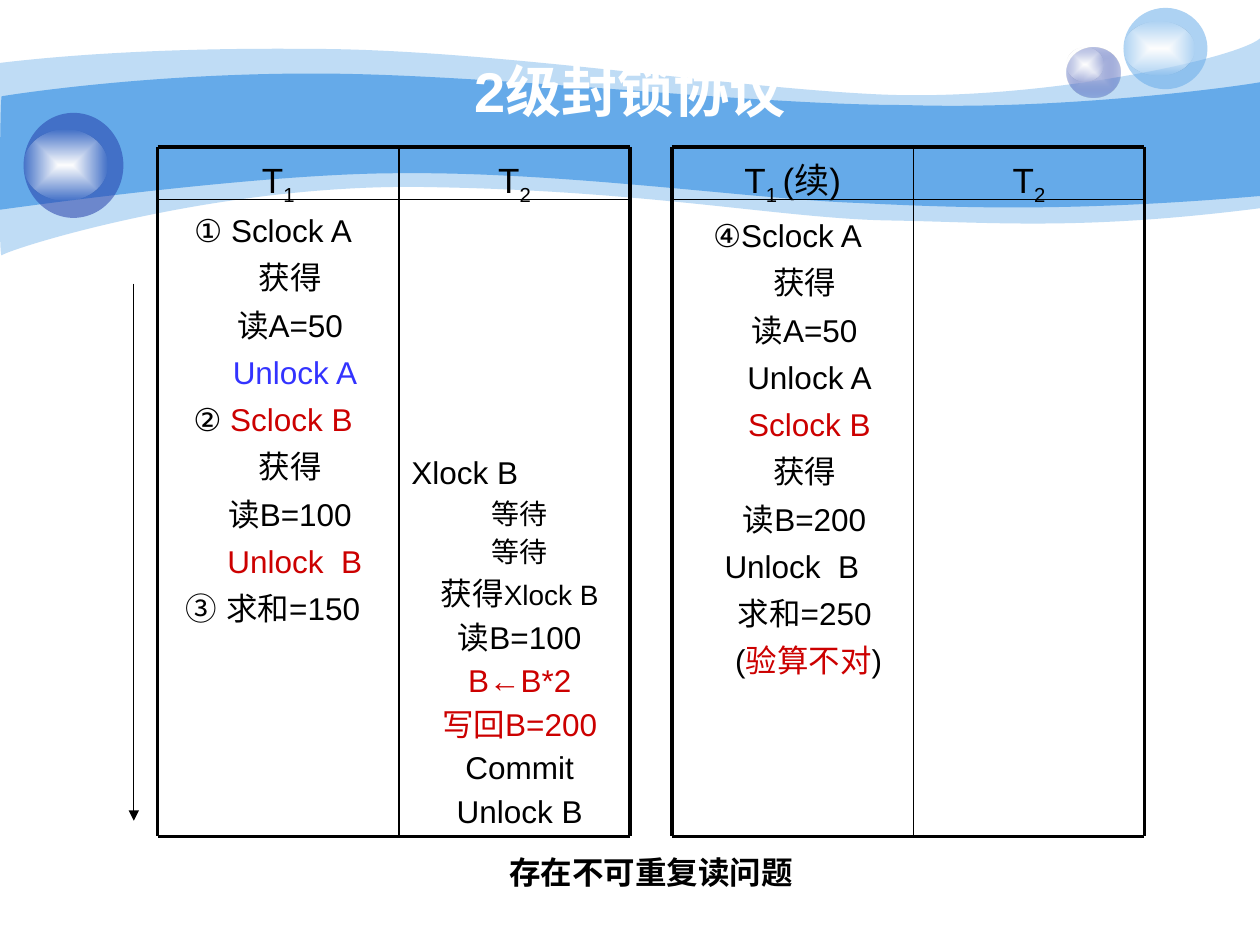
import pptx
import pptx.util
import pptx.dml.color
import pptx.enum.shapes
import pptx.enum.text
import pptx.oxml
import pptx.oxml.ns

Pt = pptx.util.Pt
qn = pptx.oxml.ns.qn
SPACE = 'xmlns:a="http://schemas.openxmlformats.org/drawingml/2006/main"'
BLACK, WHITE, RED, BLUE = "000000", "FFFFFF", "CC0000", "3333FF"
SKY, NAVY = "65AAE9", "233DA9"
GLOW = [(0, WHITE, 100), (100, WHITE, 0)]
HAN, LATIN = 19.5, 25

LIGHT = [(0, 36), (17, 34), (77, 27), (178, 28), (278, 28), (414, 50), (503, 54),
         (592, 58), (706, 34), (720, 22), (720, 22), (720, 119), (720, 119),
         (618, 132), (567, 127), (508, 126), (448, 125), (371, 109), (247, 107),
         (124, 104), (3, 143), (1, 146), (-1, 150), (0, 54), (0, 36)]
DARK = [(1, 55), (1, 55), (79, 42), (179, 42), (278, 42), (428, 60), (517, 60),
        (606, 63), (703, 50), (720, 47), (720, 47), (720, 112), (720, 112),
        (614, 121), (551, 119), (491, 116), (431, 114), (322, 98), (228, 99),
        (146, 99), (-1, 120), (-1, 120), (0, 120), (0, 55), (1, 55)]

FIRST = [(0, ("①\u00a0Sclock A",)), (HAN, ("获得",)), (HAN, ("读A=50",)),
         (LATIN, ("Unlock A", BLUE)), (0, ("② ",), ("Sclock B", RED)),
         (HAN, ("获得",)), (HAN, ("读B=100",)), (LATIN, ("Unlock  B", RED)),
         (0, ("③ 求和=150",))]
SECOND = [(None, ("Xlock B",)), (0, ("等待", BLACK, 16)), (0, ("等待", BLACK, 16)),
          (0, ("获得",), ("Xlock B", BLACK, 16)), (0, ("读B=100",)),
          (0, ("B←B*2", RED)), (0, ("写回B=200", RED)), (0, ("Commit",)),
          (0, ("Unlock B",))]
THIRD = [(0, ("④Sclock A",)), (HAN, ("获得",)), (HAN, ("读A=50",)),
         (LATIN, ("Unlock A",)), (LATIN, ("Sclock B", RED)), (HAN, ("获得",)),
         (HAN, ("读B=200",)), (5, ("Unlock  B",)), (HAN, ("求和=250",)),
         (24, ("(",), ("验算不对", RED), (")",))]


def color(code):
    """Turn a hex string into a colour."""
    return pptx.dml.color.RGBColor.from_string(code)


def tint(code, alpha):
    """Return the XML of a colour with its opacity in percent."""
    return f'<a:srgbClr val="{code}"><a:alpha val="{alpha * 1000}"/></a:srgbClr>'


def paint(shape, stops):
    """Fill a shape with one tint, or with a gradient from its centre."""
    shape.shadow.inherit = False
    shape.line.fill.background()
    shape.fill.background()
    if len(stops) == 1:
        xml = f'<a:solidFill {SPACE}>{tint(*stops[0][1:])}</a:solidFill>'
    else:
        marks = "".join(f'<a:gs pos="{at * 1000}">{tint(code, alpha)}</a:gs>'
                        for at, code, alpha in stops)
        xml = (f'<a:gradFill {SPACE}><a:gsLst>{marks}</a:gsLst><a:path path="rect">'
               '<a:fillToRect l="50000" t="50000" r="50000" b="50000"/>'
               '</a:path></a:gradFill>')
    props = shape._element.spPr
    props.replace(props.find(qn("a:noFill")), pptx.oxml.parse_xml(xml))


def wave(slide, box, knots, alpha):
    """Draw a ribbon of cubic curves, set from the corner of its box."""
    left, top = box
    first, *rest = [(Pt(left + x), Pt(top + y)) for x, y in knots]
    form = slide.shapes.build_freeform(*first)
    form.add_line_segments(rest, close=True)
    shape = form.convert_to_shape()
    lines = list(shape._element.iter(qn("a:lnTo")))
    for num in range(0, len(lines) - 2, 3):
        curve = pptx.oxml.parse_xml(f'<a:cubicBezTo {SPACE}/>')
        lines[num].addprevious(curve)
        for line in lines[num:num + 3]:
            curve.append(line[0])
            line.getparent().remove(line)
    paint(shape, [(0, SKY, alpha)])


def ball(slide, box, stops, shine):
    """Draw a ball with a glow at its left, sized as (drop, width, height) shares."""
    left, top, wide, high = box
    drop, across, down = shine
    oval = pptx.enum.shapes.MSO_SHAPE.OVAL
    spots = [(box, stops),
             ((left, top + drop * high, across * wide, down * high), GLOW)]
    for spot, fill in spots:
        paint(slide.shapes.add_shape(oval, *map(Pt, spot)), fill)


def write(frame, rows, space=1.0, face="Arial", bold=False):
    """Write rows of (indent, run, ...); no indent means left aligned."""
    align = pptx.enum.text.PP_ALIGN
    for num, (indent, *runs) in enumerate(rows):
        para = frame.add_paragraph() if num else frame.paragraphs[0]
        para.alignment = align.LEFT if indent is None else align.CENTER
        para.line_spacing = space
        if indent:
            para._p.get_or_add_pPr().set("marL", str(Pt(indent)))
        for text, *style in runs:
            code, size, base = style + [BLACK, 18, 0][len(style):]
            run = para.add_run()
            run.text = text
            run.font.name, run.font.size, run.font.bold = face, Pt(size), bold
            run.font.color.rgb = color(code)
            if not bold:
                run.font._element.append(
                    pptx.oxml.parse_xml(f'<a:ea {SPACE} typeface="{face}"/>'))
            if base:
                run.font._element.set("baseline", str(base * 1000))
        if num:
            para.space_before = Pt(0.3 * runs[0][2] if len(runs[0]) > 2 else 5.4)


def label(slide, box, run, face, wrap):
    """Place one bold centred line in a box."""
    frame = slide.shapes.add_textbox(*map(Pt, box)).text_frame
    frame.word_wrap = wrap
    frame.vertical_anchor = pptx.enum.text.MSO_ANCHOR.MIDDLE
    write(frame, [(0, run)], face=face, bold=True)


def block(slide, box, rows, drop, space=1.0):
    """Place a column of text that starts below the top of its box."""
    frame = slide.shapes.add_textbox(*map(Pt, box)).text_frame
    frame.word_wrap = True
    frame.margin_top = Pt(drop)
    write(frame, rows, space)


def rule(slide, start, end, width):
    """Draw a black straight line and return it."""
    kind = pptx.enum.shapes.MSO_CONNECTOR.STRAIGHT
    line = slide.shapes.add_connector(kind, *map(Pt, start + end))
    line.line.color.rgb = color(BLACK)
    line.line.width = Pt(width)
    line._element.spPr.append(pptx.oxml.parse_xml(f'<a:effectLst {SPACE}/>'))
    return line


def sheet(slide, box, heads, bodies):
    """Rule a schedule of two transactions; a body is (rows, top, drop, spacing)."""
    left, top, wide, high = box
    spots = [(left, 138, 132), (left + 138, wide - 138, 138)]
    for (start, span, width), title, body in zip(spots, heads, bodies):
        if body:
            rows, down, drop, space = body
            block(slide, (start, top + down, width, 364), rows, drop, space)
        block(slide, (start, top, span, 30), [(0, *title)], 6.5)
    for down, width in ((0, 2.25), (30, 1), (high, 2.25)):
        rule(slide, (left, top + down), (left + wide, top + down), width)
    for across, width in ((0, 2.25), (138, 1), (wide, 2.25)):
        rule(slide, (left + across, top), (left + across, top + high), width)


def arrow(slide, box):
    """Draw the time arrow down the box."""
    left, top, high = box
    line = rule(slide, (left, top), (left, top + high), 0.75)
    line.line._get_or_add_ln().append(
        pptx.oxml.parse_xml(f'<a:tailEnd {SPACE} type="triangle"/>'))


def head(num, *rest):
    """Return the runs of a column head with its lowered number."""
    return [("T", BLACK, 20), (num, BLACK, 20, -25), *rest]


def main():
    """Build the slide and save it."""
    deck = pptx.Presentation()
    deck.slide_width, deck.slide_height = Pt(720), Pt(540)
    slide = deck.slides.add_slide(deck.slide_layouts[6])
    wave(slide, (0, 0), LIGHT, 41)
    wave(slide, (0, 0), DARK, 100)
    ball(slide, (609.5, 27, 31, 29), [(0, "C7CEE9", 100), (100, NAVY, 31)], (0, 0.67, 0.67))
    ball(slide, (642, 4.5, 48, 46.5), [(0, SKY, 53)], (0.17, 0.84, 0.66))
    ball(slide, (13.5, 64.5, 57, 60), [(0, NAVY, 53)], (0.16, 0.84, 0.67))
    label(slide, (36, 21.6, 648, 60), ("2级封锁协议", WHITE, 32), "Arial", True)
    label(slide, (270, 474, 204, 48), ("存在不可重复读问题",), "Times New Roman", False)
    sheet(slide, (90, 84, 270, 394), (head("1"), head("2")),
          ((FIRST, 32, 4.6, 1.0), (SECOND, 32, 145.5, 0.9)))
    sheet(slide, (384, 84, 270, 394), (head("1 ", ("(续)", BLACK, 20)), head("2")),
          ((THIRD, 19, 20.4, 1.0), None))
    arrow(slide, (76.5, 162, 307))
    deck.save("out.pptx")


if __name__ == "__main__":
    main()
